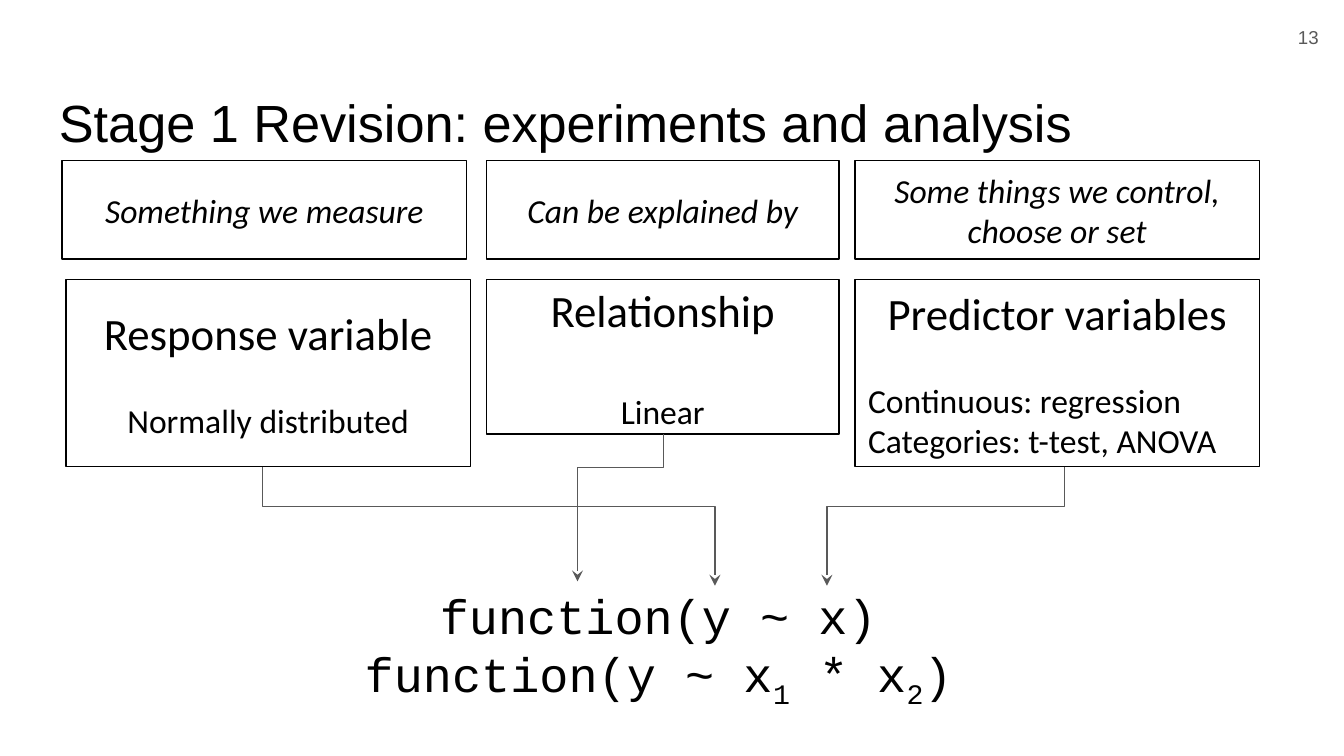
from pptx import Presentation
from pptx.dml.color import RGBColor
from pptx.enum.shapes import MSO_SHAPE
from pptx.enum.text import MSO_ANCHOR, PP_ALIGN
from pptx.util import Pt
from lxml import etree

RECTANGLE = MSO_SHAPE.RECTANGLE
TOP, MIDDLE = MSO_ANCHOR.TOP, MSO_ANCHOR.MIDDLE
LEFT, CENTER, RIGHT = PP_ALIGN.LEFT, PP_ALIGN.CENTER, PP_ALIGN.RIGHT
DRAWING = "{http://schemas.openxmlformats.org/drawingml/2006/main}"


def colour(value):
    return RGBColor.from_string(value)


class SlideBuilder:
    ink, grey, paper = "000000", "595959", "FFFFFF"
    heading_font, body_font, code_font = "Arial", "Calibri", "Courier New"
    line_width = Pt(0.75)

    def __init__(self, page):
        self.page = page

    def prepare(self, shape, anchor, inset):
        frame = shape.text_frame
        frame.word_wrap = True
        frame.vertical_anchor = anchor
        frame.margin_left = frame.margin_right = Pt(7.2)
        frame.margin_top = frame.margin_bottom = Pt(inset)
        return frame

    def style(self, para, font, size, align=CENTER, ink=ink, italic=False):
        para.alignment = align
        for span in para.runs:
            span.font.name = font
            span.font.size = Pt(size)
            span.font.italic = italic
            span.font.color.rgb = colour(ink)

    def rectangle(self, area, outlined=True):
        shape = self.page.shapes.add_shape(RECTANGLE, *map(Pt, area))
        shape.shadow.inherit = False
        shape.fill.solid()
        shape.fill.fore_color.rgb = colour(self.paper)
        if outlined:
            shape.line.color.rgb = colour(self.ink)
            shape.line.width = self.line_width
        else:
            shape.line.fill.background()
        return shape

    def label(self, area, text, size, anchor=TOP, **look):
        box = self.page.shapes.add_textbox(*map(Pt, area))
        frame = self.prepare(box, anchor, 7.2)
        frame.text = text
        self.style(frame.paragraphs[0], self.heading_font, size, **look)

    def caption(self, area, text):
        frame = self.prepare(self.rectangle(area), MIDDLE, 3.6)
        frame.text = text
        self.style(frame.paragraphs[0], self.body_font, 18, italic=True)

    def card(self, area, heading, detail, gap, align=CENTER):
        frame = self.prepare(self.rectangle(area), MIDDLE, 3.6)
        frame.text = heading
        self.style(frame.paragraphs[0], self.body_font, 24)
        para = frame.add_paragraph()
        para.text = detail
        para.space_before = Pt(gap)
        self.style(para, self.body_font, 18, align)

    def code(self, area, formulas):
        """Each formula is a list of parts; every second part is a subscript."""
        frame = self.prepare(self.rectangle(area, outlined=False), TOP, 3.6)
        for row, parts in enumerate(formulas):
            para = frame.add_paragraph() if row else frame.paragraphs[0]
            for index, part in enumerate(parts):
                span = para.add_run()
                span.text = part
                if index % 2:
                    span._r.get_or_add_rPr().set("baseline", "-25000")
            self.style(para, self.code_font, 26)

    def elbow_arrow(self, start, bend, end):
        """Runs down to the bend height, across, then down to the arrowhead."""
        corners = [(start[0], bend), (end[0], bend), end]
        builder = self.page.shapes.build_freeform(Pt(start[0]), Pt(start[1]))
        builder.add_line_segments([(Pt(x), Pt(y)) for x, y in corners], close=False)
        arrow = builder.convert_to_shape()
        arrow.shadow.inherit = False
        arrow.fill.background()
        arrow.line.color.rgb = colour(self.grey)
        arrow.line.width = self.line_width
        outline = arrow.line._get_or_add_ln()
        etree.SubElement(outline, DRAWING + "tailEnd", type="stealth")


def main():
    deck = Presentation()
    deck.slide_width, deck.slide_height = Pt(720), Pt(405)
    slide = SlideBuilder(deck.slides.add_slide(deck.slide_layouts[6]))

    # Title and page number
    slide.label((24.5, 41, 671, 45.4), "Stage 1 Revision: experiments and analysis",
                28, align=LEFT)
    slide.label((670.3, 4.3, 43.2, 31), "13", 10, MIDDLE, align=RIGHT, ink=slide.grey)

    # Plain-language captions
    middle, right = 260.7, 458
    wide, narrow = 216.8, 188.7
    for left, width, text in (
        (33.3, wide, "Something we measure"),
        (middle, narrow, "Can be explained by"),
        (right, wide, "Some things we control, choose or set"),
    ):
        slide.caption((left, 86, width, 52.7), text)

    # Model parts
    row = 149.8
    slide.card((35.3, row, wide, 100), "Response variable", "Normally distributed", 22)
    slide.card((middle, row, narrow, 82.8), "Relationship", "Linear", 29.3)
    slide.card((right, row, wide, 100), "Predictor variables",
               "Continuous: regression\nCategories: t-test, ANOVA", 22, LEFT)

    # Model formulas
    slide.code((182.2, 310.3, 341.3, 85.7), [
        ["function(y ~ x)"],
        ["function(y ~ x", "1", " * x", "2", ")"],
    ])

    # Arrows from the parts to the formula
    slide.elbow_arrow((140.6, 250.3), 271.4, (383, 313.8))
    slide.elbow_arrow((355.5, 232.6), 250.6, (309.4, 311.5))
    slide.elbow_arrow((570.3, 250.3), 271.4, (443, 313.8))

    deck.save("out.pptx")


if __name__ == "__main__":
    main()
